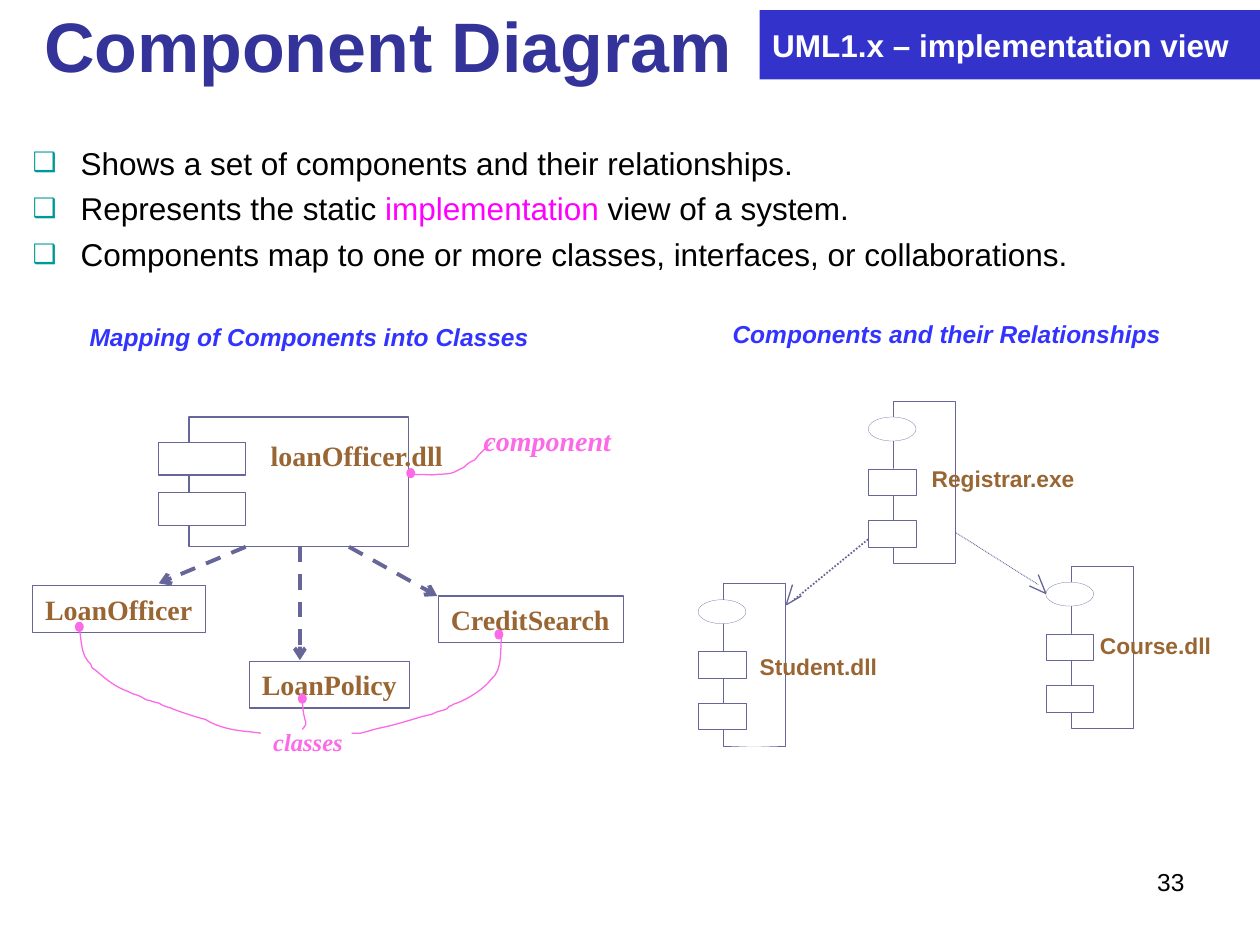
from lxml.etree import SubElement
from pptx import Presentation
from pptx.dml.color import RGBColor
from pptx.enum.dml import MSO_LINE
from pptx.enum.shapes import MSO_CONNECTOR, MSO_SHAPE
from pptx.enum.text import MSO_ANCHOR, MSO_AUTO_SIZE, PP_ALIGN
from pptx.oxml.ns import qn
from pptx.util import Inches, Pt

SLATE, PINK, BROWN, WHITE, BLACK = "666699", "FC6AE7", "996633", "FFFFFF", "000000"
SERIF, SANS = "Times New Roman", "Arial"


def color(value):
    """Turn a hex string into a colour."""
    return RGBColor.from_string(value)


def add_span(para, text, size=18, font=SANS, fill=BLACK, bold=False, italic=False):
    """Append formatted text to a paragraph."""
    span = para.add_run()
    span.text = text
    span.font.size = Pt(size)
    span.font.name = font
    span.font.bold = bold
    span.font.italic = italic
    span.font.color.rgb = color(fill)


def write(shape, text, align=PP_ALIGN.LEFT, anchor=MSO_ANCHOR.TOP, wrap=True,
          margins=(0.1, 0.05), **style):
    """Put one formatted paragraph into a shape."""
    frame = shape.text_frame
    frame.auto_size = MSO_AUTO_SIZE.NONE
    frame.word_wrap = wrap
    frame.vertical_anchor = anchor
    frame.margin_left = frame.margin_right = Inches(margins[0])
    frame.margin_top = frame.margin_bottom = Inches(margins[1])
    para = frame.paragraphs[0]
    para.alignment = align
    add_span(para, text, **style)


def place(shape, *area):
    """Move and size a shape, in inches."""
    shape.left, shape.top, shape.width, shape.height = map(Inches, area)


def add_label(page, area, text, **style):
    """Add a text box."""
    box = page.shapes.add_textbox(*map(Inches, area))
    write(box, text, **style)


def add_figure(page, area, kind=MSO_SHAPE.RECTANGLE, fill=WHITE, line=SLATE, width=0.75):
    """Add a preset shape with optional fill and outline."""
    shape = page.shapes.add_shape(kind, *map(Inches, area))
    shape.shadow.inherit = False
    paint(shape, fill, line, width)
    return shape


def paint(shape, fill, line, width):
    """Set the fill and outline of a shape."""
    if fill:
        shape.fill.solid()
        shape.fill.fore_color.rgb = color(fill)
    else:
        shape.fill.background()
    if line:
        shape.line.color.rgb = color(line)
        shape.line.width = Pt(width)
    else:
        shape.line.fill.background()


def add_line(page, start, end, width=0.75, dash=None, arrow=False):
    """Add a straight line, optionally dashed or with an arrowhead."""
    line = page.shapes.add_connector(MSO_CONNECTOR.STRAIGHT, *map(Inches, start + end))
    line.line.color.rgb = color(SLATE)
    line.line.width = Pt(width)
    if dash:
        line.line.dash_style = dash
    if arrow:
        SubElement(line.line._get_or_add_ln(), qn("a:tailEnd"), type="arrow")
    SubElement(line._element.spPr, qn("a:effectLst"))


def add_curve(page, *points):
    """Add a pink curve: a start point, then three points for each Bézier segment."""
    points = [(Inches(x), Inches(y)) for x, y in points]
    builder = page.shapes.build_freeform(*points[0])
    builder.add_line_segments(points[1:], close=False)
    curve = builder.convert_to_shape()
    steps = curve._element.xpath(".//a:lnTo")
    for first in range(0, len(steps), 3):
        segment = SubElement(steps[0].getparent(), qn("a:cubicBezTo"))
        for step in steps[first:first + 3]:
            segment.append(step[0])
    for step in steps:
        step.getparent().remove(step)
    curve.shadow.inherit = False
    paint(curve, None, PINK, 0.75)


def add_component(page, left, top):
    """Add a component symbol with its interface oval and two tabs."""
    add_figure(page, (left, top, 0.49, 1.29), width=0.14)
    add_figure(page, (left - 0.2, top + 0.13, 0.38, 0.19), MSO_SHAPE.OVAL, width=0.14)
    for drop in (0.54, 0.95):
        add_figure(page, (left - 0.2, top + drop, 0.38, 0.21), width=0.14)


def add_bullets(body, items):
    """Fill the body with bulleted paragraphs made of coloured spans."""
    frame = body.text_frame
    frame.auto_size = MSO_AUTO_SIZE.NONE
    for index, item in enumerate(items):
        para = frame.paragraphs[0] if index == 0 else frame.add_paragraph()
        props = para._p.get_or_add_pPr()
        props.set("marL", str(Inches(0.38)))
        props.set("indent", str(Inches(-0.38)))
        SubElement(SubElement(props, qn("a:buClr")), qn("a:srgbClr"), val="009999")
        SubElement(props, qn("a:buSzPct"), val="85000")
        SubElement(props, qn("a:buFont"), typeface=SANS)
        SubElement(props, qn("a:buChar"), char="❑")
        para.space_before = Pt(4.5 if index else 0)
        for text, fill in item:
            add_span(para, text, fill=fill)


def draw_mapping(page):
    """Draw the component with the classes it maps to."""
    name = {"size": 16, "font": SERIF, "fill": BROWN, "bold": True, "wrap": False}
    note = {**name, "fill": PINK, "italic": True}
    add_label(page, (2.07, 5.72, 0.75, 0.34), "classes", **{**note, "size": 14})
    add_figure(page, (1.5, 3.31, 1.74, 1.03))
    for top in (3.51, 3.91):
        add_figure(page, (1.26, top, 0.69, 0.26))
    add_label(page, (2.05, 3.43, 1.58, 0.37), "loanOfficer.dll", **name)
    add_label(page, (3.74, 3.31, 1.21, 0.37), "component", **note)
    for left, top, width, text in ((0.26, 4.65, 1.37, "LoanOfficer"),
                                   (1.98, 5.25, 1.27, "LoanPolicy"),
                                   (3.48, 4.73, 1.47, "CreditSearch")):
        write(add_figure(page, (left, top, width, 0.37), fill=None), text, **name)
    for left, top in ((3.23, 3.72), (0.6, 4.94), (2.37, 5.51), (3.93, 5)):
        add_figure(page, (left, top, 0.06, 0.07), MSO_SHAPE.OVAL, PINK, PINK)
    add_curve(page, (3.25, 3.75), (3.33, 3.78), (3.27, 3.76), (3.43, 3.77),
              (3.49, 3.76), (3.54, 3.77), (3.6, 3.75), (3.63, 3.74), (3.65, 3.72),
              (3.68, 3.71), (3.71, 3.68), (3.74, 3.66), (3.77, 3.65),
              (3.81, 3.59), (3.86, 3.56), (3.9, 3.51))
    add_curve(page, (0.63, 4.99), (0.65, 5.09), (0.64, 5.2), (0.72, 5.27),
              (0.74, 5.32), (0.72, 5.29), (0.76, 5.32), (0.84, 5.39), (0.91, 5.45),
              (1.02, 5.49), (1.05, 5.51), (1.08, 5.51), (1.12, 5.53),
              (1.14, 5.54), (1.16, 5.56), (1.19, 5.56), (1.21, 5.57), (1.26, 5.58),
              (1.26, 5.58), (1.3, 5.61), (1.34, 5.61), (1.38, 5.63),
              (1.46, 5.66), (1.55, 5.69), (1.63, 5.71), (1.74, 5.78), (1.88, 5.8),
              (2, 5.81), (2.06, 5.82), (2.03, 5.81), (2.07, 5.82))
    add_curve(page, (2.4, 5.56), (2.41, 5.78), (2.46, 5.71), (2.4, 5.79))
    add_curve(page, (3.98, 5.06), (3.97, 5.15), (3.99, 5.32), (3.9, 5.39),
              (3.84, 5.47), (3.7, 5.56), (3.6, 5.59), (3.59, 5.6), (3.58, 5.6),
              (3.56, 5.61), (3.56, 5.62), (3.55, 5.62), (3.54, 5.63),
              (3.51, 5.64), (3.47, 5.65), (3.47, 5.65), (3.42, 5.68), (3.36, 5.68),
              (3.31, 5.7), (3.21, 5.73), (3.11, 5.76), (3.01, 5.78),
              (2.96, 5.79), (2.91, 5.81), (2.86, 5.82), (2.84, 5.82), (2.79, 5.82),
              (2.79, 5.82))
    for start, end in (((2.38, 4.34), (2.38, 5.24)), ((1.95, 4.34), (1.26, 4.63)),
                       ((2.77, 4.34), (3.47, 4.73))):
        add_line(page, start, end, 2.25, MSO_LINE.DASH, arrow=True)


def draw_relationships(page):
    """Draw the three components and their dependencies."""
    for corner, area, text in (((7.09, 3.18), (7.39, 3.69, 1.14, 0.22), "Registrar.exe"),
                               ((8.5, 4.49), (8.73, 5.01, 0.88, 0.22), "Course.dll"),
                               ((5.74, 4.63), (6.03, 5.18, 0.93, 0.22), "Student.dll")):
        add_component(page, *corner)
        add_label(page, area, text, size=13, fill=BROWN, bold=True, wrap=False,
                  align=PP_ALIGN.CENTER, margins=(0, 0))
    for start, end, width, tip, barbs in (
            ((7.59, 4.23), (8.24, 4.64), 0.5, (8.3, 4.71), ((8.24, 4.56), (8.17, 4.65))),
            ((6.89, 4.28), (6.29, 4.77), 1, (6.24, 4.8), ((6.36, 4.73), (6.29, 4.64)))):
        add_line(page, start, end, width, MSO_LINE.ROUND_DOT)
        for barb in barbs:
            add_line(page, tip, barb)


def main():
    """Build the slide and save it."""
    deck = Presentation()
    deck.slide_width, deck.slide_height = Inches(10), Inches(7.5)
    page = deck.slides.add_slide(deck.slide_layouts[1])
    title, body = page.placeholders
    place(title, 0.25, 0.08, 6.11, 0.55)
    write(title, "Component Diagram", anchor=MSO_ANCHOR.MIDDLE, size=40,
          fill="333399", bold=True)
    place(body, 0.16, 1.09, 9.61, 1.2)
    add_bullets(body, (
        [("Shows a set of components and their relationships.", BLACK)],
        [("Represents the static ", BLACK), ("implementation", "FF00FF"),
         (" view of a system.", BLACK)],
        [("Components map to one or more classes, interfaces, or collaborations.", BLACK)]))
    draw_mapping(page)
    draw_relationships(page)
    for area, text in (((5.48, 2.48, 4.07, 0.34), "Components and their Relationships"),
                       ((0.5, 2.51, 3.91, 0.34), "Mapping of Components into Classes")):
        add_label(page, area, text, size=14, fill="3333FF", bold=True, italic=True,
                  align=PP_ALIGN.CENTER)
    banner = add_figure(page, (6.03, 0.08, 3.97, 0.55), fill="3333CC", line=None)
    write(banner, "UML1.x – implementation view", anchor=MSO_ANCHOR.MIDDLE,
          fill=WHITE, bold=True)
    add_label(page, (7.17, 6.83, 2.33, 0.52), "33", size=14, align=PP_ALIGN.RIGHT)
    deck.save("out.pptx")


if __name__ == "__main__":
    main()
